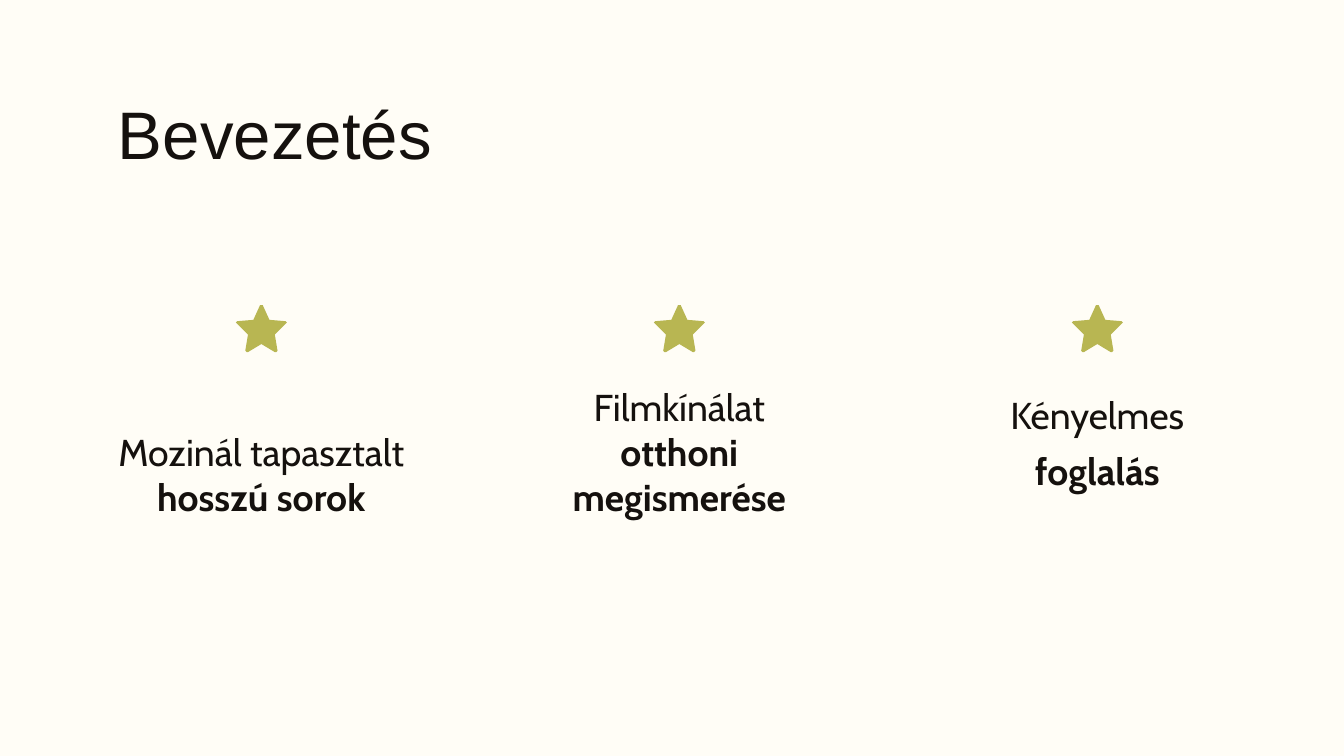
from dataclasses import dataclass
from pptx import Presentation
from pptx.dml.color import RGBColor
from pptx.enum.text import MSO_ANCHOR, PP_ALIGN
from pptx.util import Inches, Pt

TOP, BOTTOM = MSO_ANCHOR.TOP, MSO_ANCHOR.BOTTOM
LEFT, CENTER = PP_ALIGN.LEFT, PP_ALIGN.CENTER


@dataclass(frozen=True)
class Theme:
    paper: RGBColor = RGBColor(0xFF, 0xFD, 0xF6)
    ink: RGBColor = RGBColor(0x15, 0x11, 0x0E)
    star: RGBColor = RGBColor(0xB8, 0xB6, 0x52)
    head: str = "Arial"
    body: str = "Cabin"
    head_size: int = 36
    body_size: int = 20


THEME = Theme()
WIDE = 10
MARGIN, WIDTH, STEP = 0.78, 2.33, 3.11
STAR_TOP, TEXT_TOP = 2.27, 2.81
HALF_STAR = [(0.01, 0), (0.06, 0.11), (0.18, 0.12), (0.19, 0.13), (0.18, 0.14),
             (0.1, 0.22), (0.12, 0.34), (0.11, 0.35), (0.1, 0.35), (0, 0.29)]
POINTS = [
    (1.15, [[("Mozinál tapasztalt ", False), ("hosszú sorok", True)]]),
    (1.15, [[("Filmkínálat ", False), ("otthoni megismerése", True)]]),
    (0.96, [[("Kényelmes", False)], [("foglalás", True)]]),
]


def add_text(slide, box, paras, font, size, align, anchor):
    frame = slide.shapes.add_textbox(*map(Inches, box)).text_frame
    frame.word_wrap = True
    frame.vertical_anchor = anchor
    frame.margin_left = frame.margin_right = Inches(0.1)
    frame.margin_top = frame.margin_bottom = Inches(0.1)
    for i, runs in enumerate(paras):
        para = frame.add_paragraph() if i else frame.paragraphs[0]
        para.alignment = align
        para.font.name = font
        para.font.size = Pt(size)
        para.font.color.rgb = THEME.ink
        if i < len(paras) - 1:
            para.space_after = Pt(6)
        for text, bold in runs:
            run = para.add_run()
            run.text = text
            if bold:
                run.font.bold = True


def add_star(slide, mid, top):
    mirror = [(-x, y) for x, y in reversed(HALF_STAR[:-1])]
    dots = [(Inches(mid + x), Inches(top + y)) for x, y in HALF_STAR + mirror]
    pen = slide.shapes.build_freeform(*dots[0])
    pen.add_line_segments(dots[1:], close=True)
    star = pen.convert_to_shape()
    star.shadow.inherit = False
    star.fill.solid()
    star.fill.fore_color.rgb = THEME.star
    star.line.fill.background()


def main():
    deck = Presentation()
    deck.slide_width, deck.slide_height = Inches(WIDE), Inches(WIDE * 9 / 16)
    slide = deck.slides.add_slide(deck.slide_layouts[6])
    slide.background.fill.solid()
    slide.background.fill.fore_color.rgb = THEME.paper
    add_text(slide, (MARGIN, 0.59, 8.44, 0.8), [[("Bevezetés", False)]],
             THEME.head, THEME.head_size, LEFT, TOP)
    for i, (height, paras) in enumerate(POINTS):
        left = MARGIN + i * STEP
        add_text(slide, (left, TEXT_TOP, WIDTH, height), paras,
                 THEME.body, THEME.body_size, CENTER, BOTTOM)
        add_star(slide, left + WIDTH / 2, STAR_TOP)
    deck.save("out.pptx")


if __name__ == "__main__":
    main()
